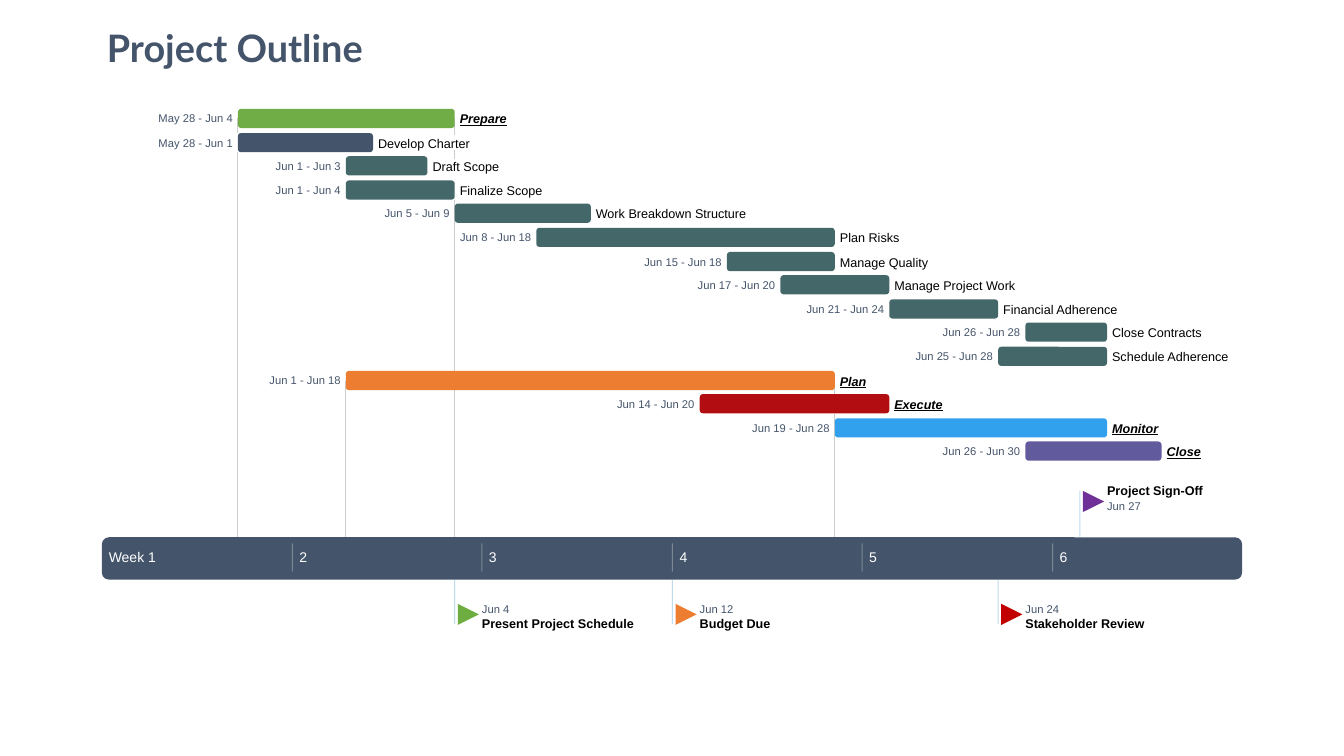
from lxml import etree
from pptx import Presentation
from pptx.dml.color import RGBColor
from pptx.enum.shapes import MSO_CONNECTOR, MSO_SHAPE
from pptx.enum.text import MSO_ANCHOR, MSO_AUTO_SIZE, PP_ALIGN
from pptx.oxml.ns import qn
from pptx.util import Emu, Pt

PX = 9144
NAVY = RGBColor(0x44, 0x54, 0x6A)
TEAL = RGBColor(0x44, 0x67, 0x6A)
GREEN = RGBColor(0x70, 0xAD, 0x47)
ORANGE = RGBColor(0xED, 0x7D, 0x31)
CRIMSON = RGBColor(0xB2, 0x0E, 0x12)
BLUE = RGBColor(0x31, 0xA1, 0xED)
VIOLET = RGBColor(0x61, 0x5B, 0x9E)
PURPLE = RGBColor(0x6F, 0x31, 0x98)
LEAF = RGBColor(0x6E, 0xAE, 0x40)
RED = RGBColor(0xC2, 0x00, 0x00)
GRAY = RGBColor(0xCC, 0xCC, 0xCC)
SKY = RGBColor(0x80, 0xB9, 0xDE)
WHITE = RGBColor(0xFF, 0xFF, 0xFF)
BLACK = RGBColor(0x00, 0x00, 0x00)

LEFT, DAY_WIDTH, WEEKS = 101, 26.94, 6
BAND_TOP, BAND_HEIGHT = 533, 42
BAND_BOTTOM = BAND_TOP + BAND_HEIGHT
ROW_TOP, ROW_STEP, BAR_HEIGHT = 108, 23.6, 19
MONTH_OFFSET = {"May": -23, "Jun": 8}

TASKS = [
    ("Prepare", "May 28", "Jun 4", GREEN),
    ("Develop Charter", "May 28", "Jun 1", NAVY),
    ("Draft Scope", "Jun 1", "Jun 3", TEAL),
    ("Finalize Scope", "Jun 1", "Jun 4", TEAL),
    ("Work Breakdown Structure", "Jun 5", "Jun 9", TEAL),
    ("Plan Risks", "Jun 8", "Jun 18", TEAL),
    ("Manage Quality", "Jun 15", "Jun 18", TEAL),
    ("Manage Project Work", "Jun 17", "Jun 20", TEAL),
    ("Financial Adherence", "Jun 21", "Jun 24", TEAL),
    ("Close Contracts", "Jun 26", "Jun 28", TEAL),
    ("Schedule Adherence", "Jun 25", "Jun 28", TEAL),
    ("Plan", "Jun 1", "Jun 18", ORANGE),
    ("Execute", "Jun 14", "Jun 20", CRIMSON),
    ("Monitor", "Jun 19", "Jun 28", BLUE),
    ("Close", "Jun 26", "Jun 30", VIOLET),
]
PHASES = {"Prepare", "Plan", "Execute", "Monitor", "Close"}
LEFT_SIDE, RIGHT_SIDE = 1, 3
DROP_LINES = [
    ("Prepare", LEFT_SIDE, [(118, 132), (151, BAND_TOP)]),
    ("Prepare", RIGHT_SIDE, [(118, 134), (149, 158), (198, 368), (387, BAND_TOP)]),
    ("Plan", LEFT_SIDE, [(378, BAND_TOP)]),
    ("Plan", RIGHT_SIDE, [(378, 391), (411, BAND_TOP)]),
]
MILESTONES_ABOVE = [("Project Sign-Off", "Jun 27", PURPLE)]
MILESTONES_BELOW = [
    ("Present Project Schedule", "Jun 4", LEAF),
    ("Budget Due", "Jun 12", ORANGE),
    ("Stakeholder Review", "Jun 24", RED),
]


def px(*lengths):
    """Turn px lengths into EMU."""
    return [Emu(round(length) * PX) for length in lengths]


def date_x(date, days_later=0):
    """Return the px position of the start of a date, or of a later day."""
    month, day = date.split()
    return round(LEFT + DAY_WIDTH * (MONTH_OFFSET[month] + int(day) + days_later))


def add_block(slide, kind, left, top, width, height, color):
    """Add a flat filled shape without an outline."""
    shape = slide.shapes.add_shape(kind, *px(left, top, width, height))
    shape.shadow.inherit = False
    shape.fill.solid()
    shape.fill.fore_color.rgb = color
    shape.line.fill.background()
    return shape


def add_vertical(slide, x, top, bottom, color, alpha=100):
    """Add a thin vertical line, optionally transparent."""
    line = slide.shapes.add_connector(MSO_CONNECTOR.STRAIGHT, *px(x, top, x, bottom))
    line.line.color.rgb = color
    line.line.width = Pt(0.75)
    properties = line.element.spPr
    etree.SubElement(properties, qn("a:effectLst"))
    if alpha < 100:
        solid_color = next(properties.iter(qn("a:srgbClr")))
        etree.SubElement(solid_color, qn("a:alpha")).set("val", str(alpha * 1000))
    return line


def add_text(slide, text, x, top, size, color, align_right=False, bold=False):
    """Add one line of text that starts, or ends, at x and return its font."""
    width = round(0.72 * size * len(text) + 10)
    left = x - width if align_right else x
    box = slide.shapes.add_textbox(*px(left, top, width, 1.57 * size))
    frame = box.text_frame
    frame.margin_left = frame.margin_right = frame.margin_top = frame.margin_bottom = 0
    frame.word_wrap = True
    frame.vertical_anchor = MSO_ANCHOR.MIDDLE
    paragraph = frame.paragraphs[0]
    paragraph.text = text
    paragraph.alignment = PP_ALIGN.RIGHT if align_right else PP_ALIGN.LEFT
    font = paragraph.font
    font.name, font.size, font.bold = "Arial", Pt(size), bold
    font.color.rgb = color
    return font


def add_title(slide, text):
    """Fill and place the title placeholder."""
    title = slide.shapes.title
    title.left, title.top, title.width, title.height = px(96, 19, 667, 56)
    frame = title.text_frame
    frame.auto_size = MSO_AUTO_SIZE.NONE
    frame.vertical_anchor = MSO_ANCHOR.BOTTOM
    paragraph = frame.paragraphs[0]
    paragraph.text = text
    paragraph.alignment = PP_ALIGN.LEFT
    font = paragraph.font
    font.name, font.size, font.bold = "Lato", Pt(27), True
    font.color.rgb = NAVY


def add_week_band(slide):
    """Add the time band with its week numbers and dividers."""
    band_width = WEEKS * 7 * DAY_WIDTH
    add_block(slide, MSO_SHAPE.ROUNDED_RECTANGLE, LEFT, BAND_TOP, band_width, BAND_HEIGHT, NAVY)
    for week in range(WEEKS):
        x = round(LEFT + week * 7 * DAY_WIDTH)
        label = str(week + 1) if week else "Week 1"
        add_text(slide, label, x + 7, BAND_TOP + 12, 10, WHITE)
        if week:
            add_vertical(slide, x, BAND_TOP + 6, BAND_BOTTOM - 8, WHITE, 30)


def add_task(slide, row, name, start, end, color):
    """Add a task bar with its dates and name and return the bar."""
    top = round(ROW_TOP + ROW_STEP * row)
    left, right = date_x(start), date_x(end, 1)
    bar = add_block(slide, MSO_SHAPE.ROUNDED_RECTANGLE, left, top, right - left, BAR_HEIGHT, color)
    add_text(slide, f"{start} - {end}", left - 5, top + 3, 8, NAVY, align_right=True)
    is_phase = name in PHASES
    font = add_text(slide, name, right + 5, top + 3, 9, BLACK, bold=is_phase)
    font.italic = font.underline = is_phase
    return bar


def add_drop_lines(slide, bar, side, segments):
    """Add the broken line from a bar's side to the band, behind all else."""
    x = (bar.left if side == LEFT_SIDE else bar.left + bar.width) / PX
    for number, (top, bottom) in enumerate(segments):
        line = add_vertical(slide, x, top, bottom, GRAY)
        if number == 0:
            line.begin_connect(bar, side)
        line.element.getparent().insert(2, line.element)


def add_milestone(slide, milestone, line_top, line_bottom, flag_top, name_top, date_top):
    """Add a flag with its stem, name and date."""
    name, date, color = milestone
    x = date_x(date, 1)
    add_vertical(slide, x, line_top, line_bottom, SKY, 50)
    flag = add_block(slide, MSO_SHAPE.FLOWCHART_MERGE, x + 3, flag_top, 21, 21, color)
    flag.rotation = 270
    add_text(slide, name, x + 27, name_top, 9, BLACK, bold=True)
    add_text(slide, date, x + 27, date_top, 8, NAVY)


def main():
    """Build the project timeline slide."""
    presentation = Presentation()
    presentation.slide_width, presentation.slide_height = px(1333, 750)
    slide = presentation.slides.add_slide(presentation.slide_layouts[5])
    add_title(slide, "Project Outline")
    add_week_band(slide)
    bars = {task[0]: add_task(slide, row, *task) for row, task in enumerate(TASKS)}
    for name, side, segments in DROP_LINES:
        add_drop_lines(slide, bars[name], side, segments)
    for milestone in MILESTONES_ABOVE:
        add_milestone(slide, milestone, 487, BAND_TOP, 487, 480, 496)
    for milestone in MILESTONES_BELOW:
        add_milestone(slide, milestone, BAND_BOTTOM, 619, 599, 612, 598)
    presentation.save("out.pptx")


if __name__ == "__main__":
    main()
